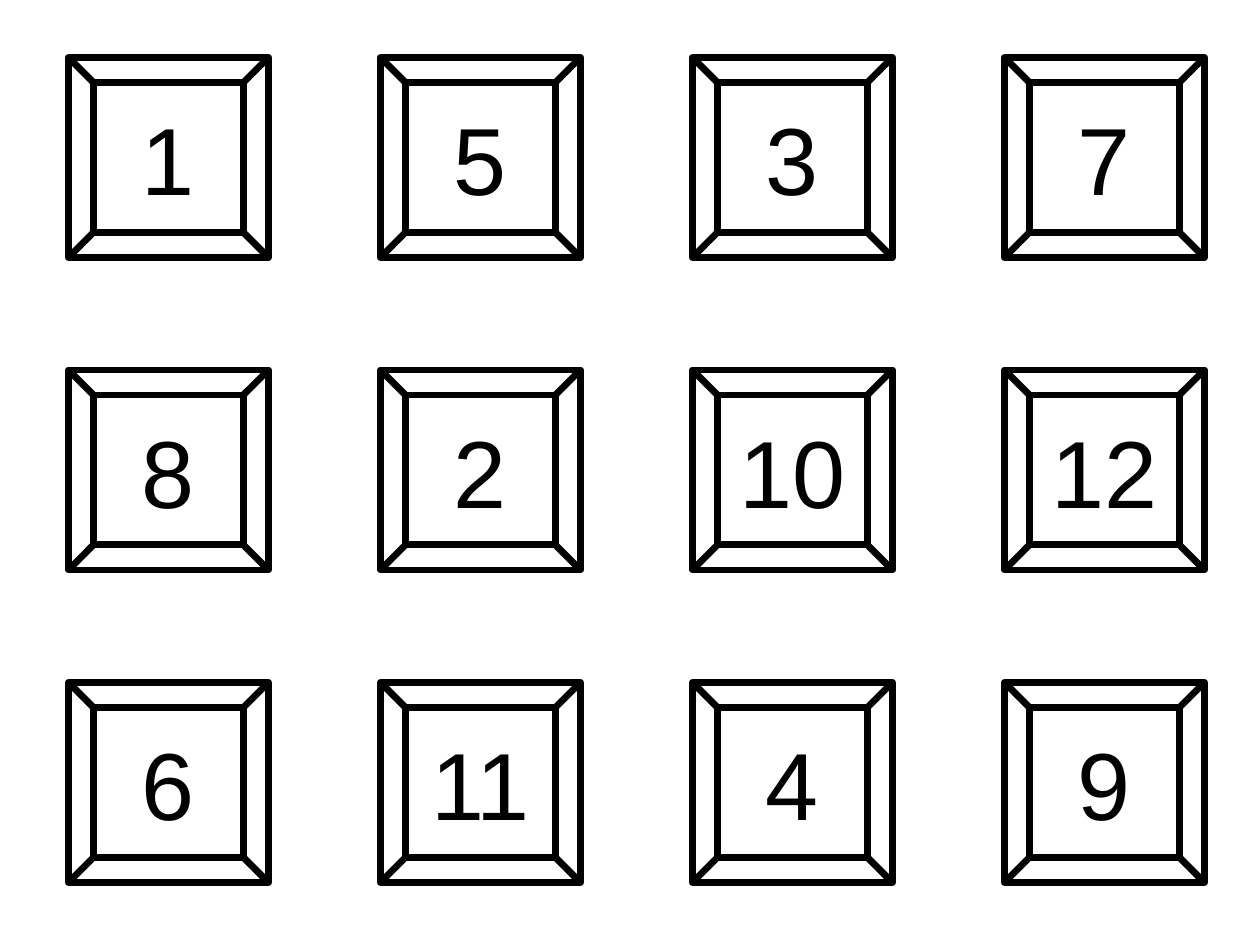
from dataclasses import dataclass

from pptx import Presentation
from pptx import util as u
from pptx.dml import color
from pptx.enum import shapes, text

PX = u.Emu(4000)


@dataclass(frozen=True)
class Theme:
    ink: color.RGBColor = color.RGBColor(0, 0, 0)
    font: str = "Arial"
    number_size: u.Pt = u.Pt(60)
    line_width: u.Pt = u.Pt(4.31)


theme = Theme()

# Page, 28 by 21 cm
deck = Presentation()
deck.slide_width = 2520 * PX
deck.slide_height = 1890 * PX
page = deck.slides.add_slide(deck.slide_layouts[6])

# Grid of numbered tiles, one group per column
columns = [("1", "8", "6"), ("5", "2", "11"), ("3", "10", "4"), ("7", "12", "9")]
LEFT, TOP, SIDE = 137, 115, 400
COLUMN_STEP, ROW_STEP = 624, 625

for column, numbers in enumerate(columns):
    group = page.shapes.add_group_shape()
    for row, number in enumerate(numbers):
        tile = group.shapes.add_shape(
            shapes.MSO_SHAPE.BEVEL,
            (LEFT + column * COLUMN_STEP) * PX,
            (TOP + row * ROW_STEP) * PX,
            SIDE * PX,
            SIDE * PX,
        )
        tile.adjustments[0] = 0.125
        tile.shadow.inherit = False
        tile.fill.background()
        tile.line.color.rgb = theme.ink
        tile.line.width = theme.line_width

        # Centred number
        frame = tile.text_frame
        frame.word_wrap = False
        frame.vertical_anchor = text.MSO_ANCHOR.MIDDLE
        frame.margin_left = frame.margin_right = 30 * PX
        frame.margin_top = frame.margin_bottom = 18 * PX
        para = frame.paragraphs[0]
        para.text = number
        para.alignment = text.PP_ALIGN.CENTER
        para.font.name = theme.font
        para.font.size = theme.number_size
        para.font.color.rgb = theme.ink

deck.save("out.pptx")
